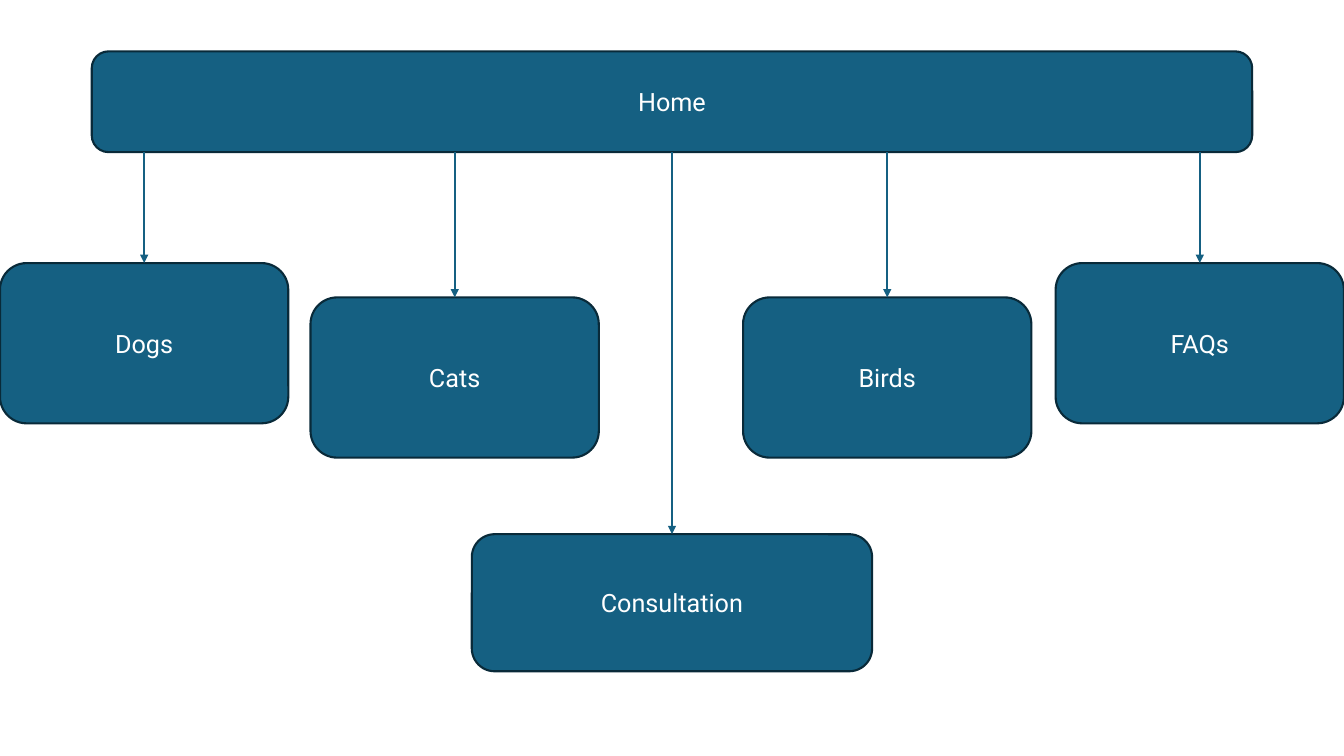
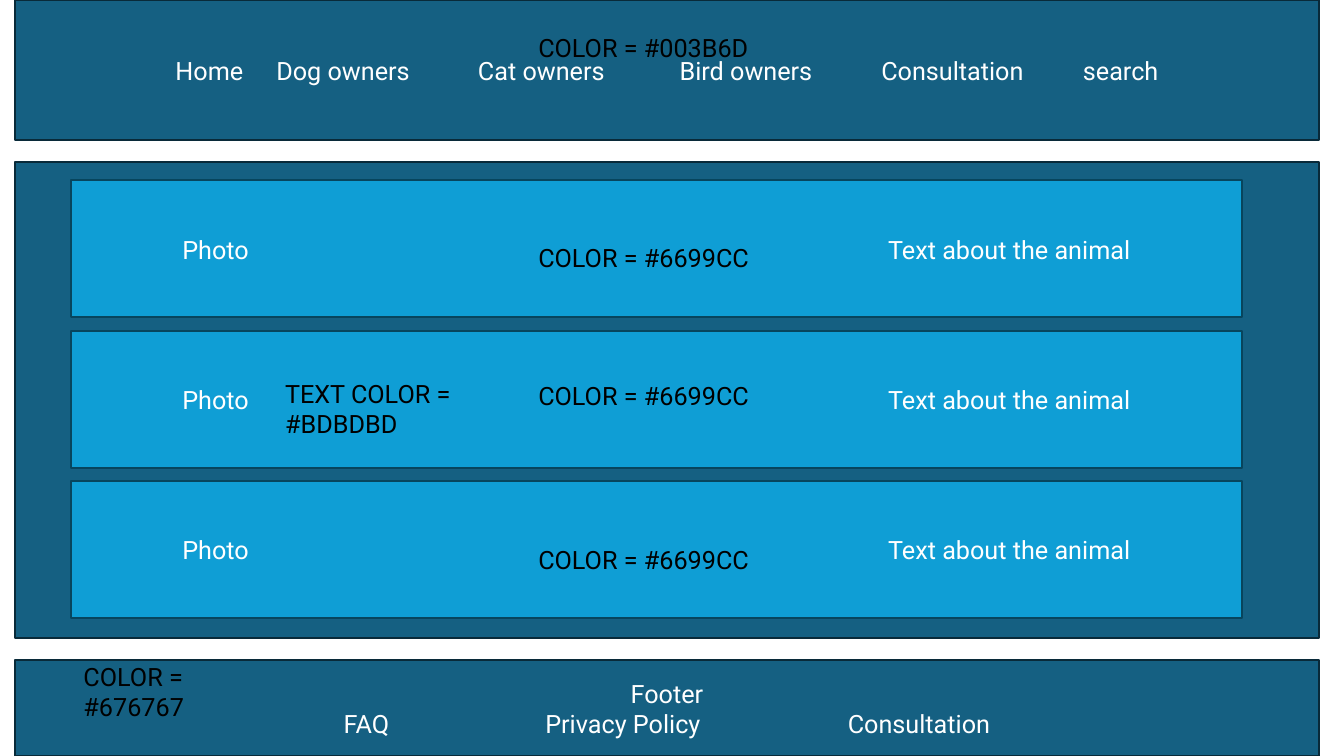
from collections import namedtuple

from lxml import etree
from pptx import Presentation
from pptx.dml.color import RGBColor
from pptx.enum.shapes import MSO_CONNECTOR as Connector, MSO_SHAPE as Shape
from pptx.enum.text import MSO_ANCHOR as Anchor, MSO_AUTO_SIZE as AutoSize, PP_ALIGN as Align
from pptx.oxml.ns import qn
from pptx.util import Inches, Pt

COLORS = {
    "panel": "156082",
    "panel_line": "092A39",
    "row": "0F9ED5",
    "row_line": "07455D",
    "light": "FFFFFF",
    "dark": "000000",
}
FONT, TEXT_SIZE, LINE_WIDTH = "Roboto", Pt(18), Pt(1.5)
TAB_WIDTH = Inches(1)
TOP_SIDE, BOTTOM_SIDE = 0, 2

Box = namedtuple("Box", "left top width height")


def color(name):
    return RGBColor.from_string(COLORS[name])


def lengths(box):
    return [Inches(value) for value in box]


def style_text(frame, text, font_color, align):
    frame.word_wrap = True
    frame.text = text
    for para in frame.paragraphs:
        para.alignment = align
        para.font.name = FONT
        para.font.size = TEXT_SIZE
        para.font.color.rgb = color(font_color)
        # Tab stops fall on whole inches
        para._p.get_or_add_pPr().set("defTabSz", str(TAB_WIDTH))


def add_block(page, box, text="", kind=Shape.RECTANGLE, fill="panel"):
    block = page.shapes.add_shape(kind, *lengths(box))
    block.shadow.inherit = False
    block.fill.solid()
    block.fill.fore_color.rgb = color(fill)
    block.line.color.rgb = color(fill + "_line")
    block.line.width = LINE_WIDTH
    block.text_frame.vertical_anchor = Anchor.MIDDLE
    if text:
        style_text(block.text_frame, text, "light", Align.CENTER)
    return block


def add_label(page, box, text):
    frame = page.shapes.add_textbox(*lengths(box)).text_frame
    style_text(frame, text, "dark", Align.LEFT)
    frame.auto_size = AutoSize.SHAPE_TO_FIT_TEXT


def add_arrow_between(page, parent, child):
    """Drop a vertical arrow from the parent's bottom edge to the child's top centre."""
    x = child.left + child.width // 2
    arrow = page.shapes.add_connector(
        Connector.STRAIGHT, x, parent.top + parent.height, x, child.top)
    if abs(x - parent.left - parent.width // 2) < Pt(1):
        arrow.begin_connect(parent, BOTTOM_SIDE)
    arrow.end_connect(child, TOP_SIDE)
    arrow.line.color.rgb = color("panel")
    arrow.line.width = LINE_WIDTH
    etree.SubElement(arrow.line._get_or_add_ln(), qn("a:tailEnd"), type="triangle")
    etree.SubElement(arrow._element.spPr, qn("a:effectLst"))


def add_animal_row(page, box, label_offset):
    tabs = "\t" * 7
    add_block(page, box, f"Photo{tabs}Text about the animal", fill="row")
    add_label(page, Box(box.left + 4.54, box.top + label_offset, 2.38, 0.4),
              "COLOR = #6699CC")


def add_header(page, box):
    links = ["Home", "Dog owners", "Cat owners", "Bird owners", "Consultation", "search"]
    add_block(page, box, "\t".join(links))
    add_label(page, Box(box.left + 5.09, box.top + 0.27, 2.38, 0.4), "COLOR = #003B6D")


def add_content(page, box):
    add_block(page, box)
    row_pitch = 1.49
    for index, label_offset in enumerate([0.56, 0.44, 0.58]):
        row = Box(box.left + 0.55, box.top + 0.18 + index * row_pitch, 11.62, 1.36)
        add_animal_row(page, row, label_offset)
    add_label(page, Box(box.left + 2.58, box.top + 2.09, 2.23, 0.71),
              "TEXT COLOR = #BDBDBD")


def add_footer(page, box):
    links = "\t\t".join(["FAQ", "Privacy Policy", "Consultation"])
    add_block(page, box, f"Footer\n{links}")
    add_label(page, Box(box.left + 0.58, box.top - 0.04, 1.3, 0.71), "COLOR = #676767")


def build_site_map(page):
    rounded = Shape.ROUNDED_RECTANGLE
    home = add_block(page, Box(0.91, 0.51, 11.51, 1), "Home", rounded)
    sections = {
        "Dogs": Box(0, 2.61, 2.86, 1.59),
        "Cats": Box(3.08, 2.95, 2.86, 1.59),
        "Birds": Box(7.37, 2.95, 2.86, 1.59),
        "FAQs": Box(10.47, 2.61, 2.86, 1.59),
        "Consultation": Box(4.68, 5.3, 3.97, 1.36),
    }
    for text, box in sections.items():
        add_arrow_between(page, home, add_block(page, box, text, rounded))


def build_wireframe(page):
    left, width = 0.15, 12.93
    add_header(page, Box(left, 0, width, 1.39))
    add_content(page, Box(left, 1.61, width, 4.72))
    add_footer(page, Box(left, 6.55, width, 0.95))


def main():
    deck = Presentation()
    deck.slide_width, deck.slide_height = Inches(13.33), Inches(7.5)
    blank = deck.slide_layouts[6]
    for build in (build_site_map, build_wireframe):
        build(deck.slides.add_slide(blank))
    deck.save("out.pptx")


if __name__ == "__main__":
    main()
